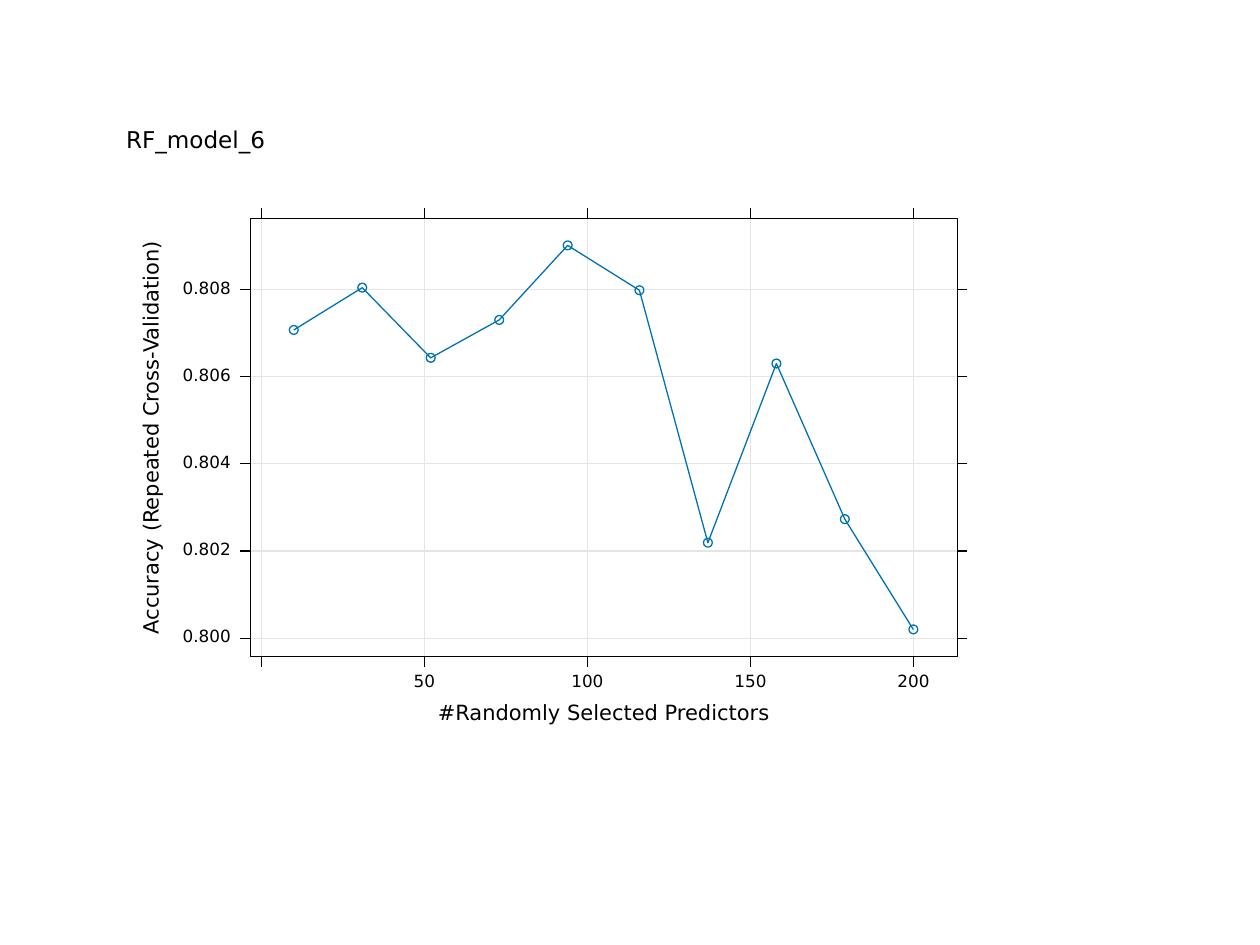
from typing import NamedTuple

from lxml import etree
from pptx import Presentation, util as u
from pptx.dml.color import RGBColor
from pptx.enum import shapes, text
from pptx.oxml.ns import qn

COLS, ROWS = 100, 75
CELL = u.Inches(10) // COLS
FONT = "DejaVu Sans"
BLACK, WHITE, GRID, BLUE = "000000", "FFFFFF", "E5E5E5", "0072B2"
TICK = 0.78
DOT = 0.7


class Box(NamedTuple):
    col: float
    row: float
    cols: float
    rows: float

    def emu(self):
        return [cells(v) for v in self]


class Label(NamedTuple):
    text: str
    box: Box
    size: float
    rotation: int = 0


class Point(NamedTuple):
    predictors: int
    accuracy: float


PANEL = Box(19.87, 17.33, 56.11, 34.79)
RIGHT, BOTTOM = PANEL.col + PANEL.cols, PANEL.row + PANEL.rows
X_TICKS = range(0, 201, 50)
Y_TICKS = [0.8, 0.802, 0.804, 0.806, 0.808]
POINTS = [
    Point(10, 0.80707), Point(31, 0.80804), Point(52, 0.80643),
    Point(73, 0.8073), Point(94, 0.80901), Point(116, 0.80798),
    Point(137, 0.80219), Point(158, 0.8063), Point(179, 0.80273),
    Point(200, 0.8002),
]


def cells(n: float) -> int:
    return round(n * CELL)


def x_at(predictors: float) -> float:
    return 20.73 + 12.94 * predictors / 50


def y_at(accuracy: float) -> float:
    return 50.65 - 6.92 * (accuracy - 0.8) / 0.002


def rgb(color: str) -> RGBColor:
    return RGBColor.from_string(color)


def set_line(sp, color: str) -> None:
    sp.line.color.rgb = rgb(color)
    sp.line.width = u.Pt(0.75)


def style(sp, line: str, fill: str = "") -> None:
    sp.shadow.inherit = False
    set_line(sp, line)
    if fill:
        sp.fill.solid()
        sp.fill.fore_color.rgb = rgb(fill)
    else:
        sp.fill.background()


def draw_shape(g, kind, box: Box, line: str, fill: str = "") -> None:
    style(g.shapes.add_shape(kind, *box.emu()), line, fill)


def draw_line(g, x1: float, y1: float, x2: float, y2: float, color: str) -> None:
    c = g.shapes.add_connector(
        shapes.MSO_CONNECTOR.STRAIGHT, *[cells(v) for v in (x1, y1, x2, y2)])
    set_line(c, color)
    etree.SubElement(c.element.spPr, qn("a:effectLst"))


def fill_text(sp, label: Label) -> None:
    sp.left, sp.top, sp.width, sp.height = label.box.emu()
    sp.rotation = label.rotation
    tf = sp.text_frame
    tf.text = label.text
    tf.margin_left = tf.margin_right = tf.margin_top = tf.margin_bottom = 0
    tf.word_wrap = False
    tf.auto_size = text.MSO_AUTO_SIZE.NONE
    tf.vertical_anchor = text.MSO_ANCHOR.MIDDLE
    p = tf.paragraphs[0]
    p.alignment = text.PP_ALIGN.LEFT
    p.line_spacing = u.Pt(label.size)
    p.space_before = u.Pt(0)
    f = p.runs[0].font
    f.size, f.name = u.Pt(label.size), FONT
    f.color.rgb = rgb(BLACK)


def draw_label(g, label: Label) -> None:
    fill_text(g.shapes.add_textbox(0, 0, 0, 0), label)


def draw_axes(g) -> None:
    for v in X_TICKS:
        x = x_at(v)
        draw_line(g, x, PANEL.row, x, PANEL.row - TICK, BLACK)
        draw_line(g, x, BOTTOM, x, BOTTOM + TICK, BLACK)
        draw_line(g, x, BOTTOM, x, PANEL.row, GRID)
        if v:
            width = 0.84 * len(str(v))
            draw_label(g, Label(str(v), Box(x - width / 2, 53.7, width, 1), 9.6))
    for v in Y_TICKS:
        y = y_at(v)
        draw_line(g, PANEL.col, y, PANEL.col - TICK, y, BLACK)
        draw_line(g, RIGHT, y, RIGHT + TICK, y, BLACK)
        draw_line(g, PANEL.col, y, RIGHT, y, GRID)
        draw_label(g, Label(f"{v:.3f}", Box(14.5, y - 0.53, 3.8, 1), 9.6))


def draw_series(g) -> None:
    spots = [(x_at(p.predictors), y_at(p.accuracy)) for p in POINTS]
    for x, y in spots:
        draw_shape(g, shapes.MSO_SHAPE.OVAL,
                   Box(x - DOT / 2, y - DOT / 2, DOT, DOT), BLUE)
    path = [(cells(x), cells(y)) for x, y in spots]
    fb = g.shapes.build_freeform(*path[0])
    fb.add_line_segments(path[1:], close=False)
    style(fb.convert_to_shape(), BLUE)


def main() -> None:
    prs = Presentation()
    prs.slide_width, prs.slide_height = COLS * CELL, ROWS * CELL
    s = prs.slides.add_slide(prs.slide_layouts[5])
    g = s.shapes.add_group_shape()
    draw_shape(g, shapes.MSO_SHAPE.RECTANGLE, Box(10, 10, 70, 50), WHITE, WHITE)
    draw_label(g, Label("#Randomly Selected Predictors",
                        Box(34.75, 55.9, 26.4, 1.6), 12))
    draw_label(g, Label("Accuracy (Repeated Cross-Validation)",
                        Box(-3.7, 33.75, 31.6, 1.6), 12, 270))
    draw_axes(g)
    draw_series(g)
    draw_shape(g, shapes.MSO_SHAPE.RECTANGLE, PANEL, BLACK)
    title = s.shapes.title
    fill_text(title, Label("RF_model_6", Box(10, 10.3, 12, 1.8), 13.2))
    title.element.getparent().append(title.element)
    prs.save("out.pptx")


if __name__ == "__main__":
    main()
